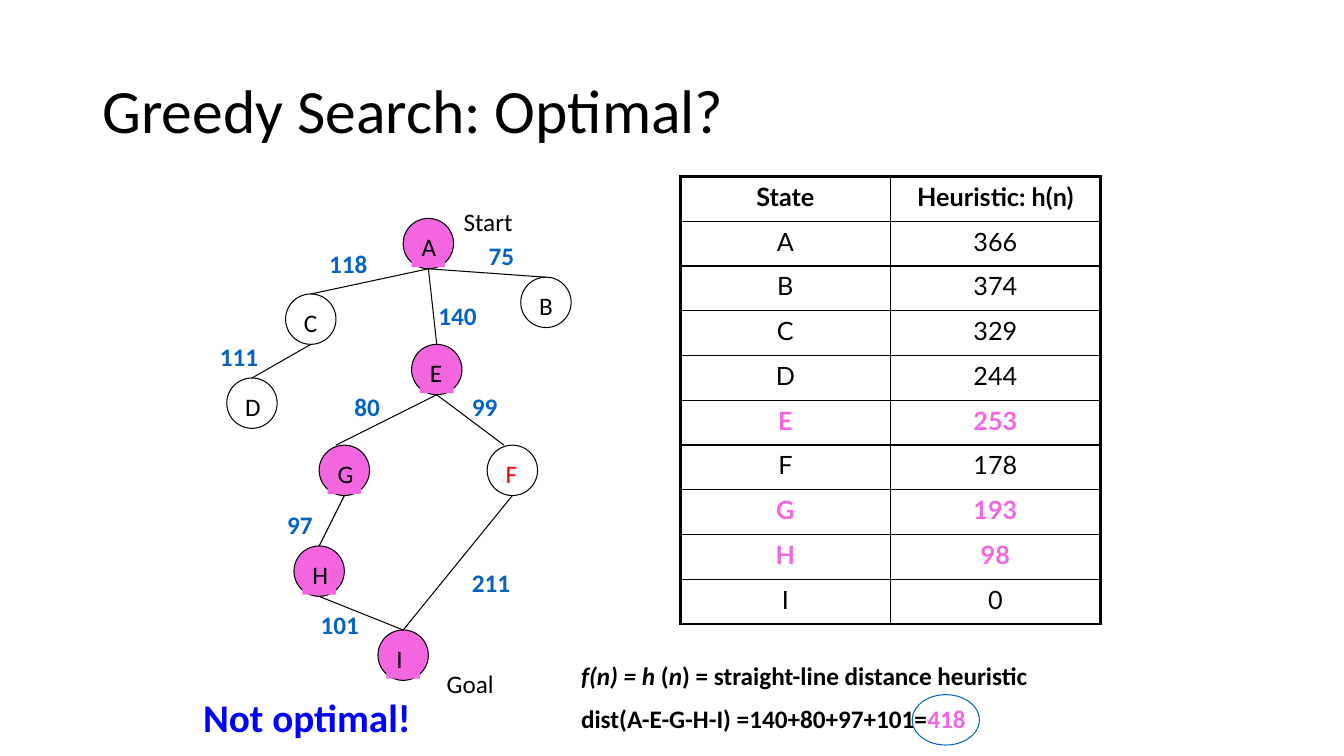
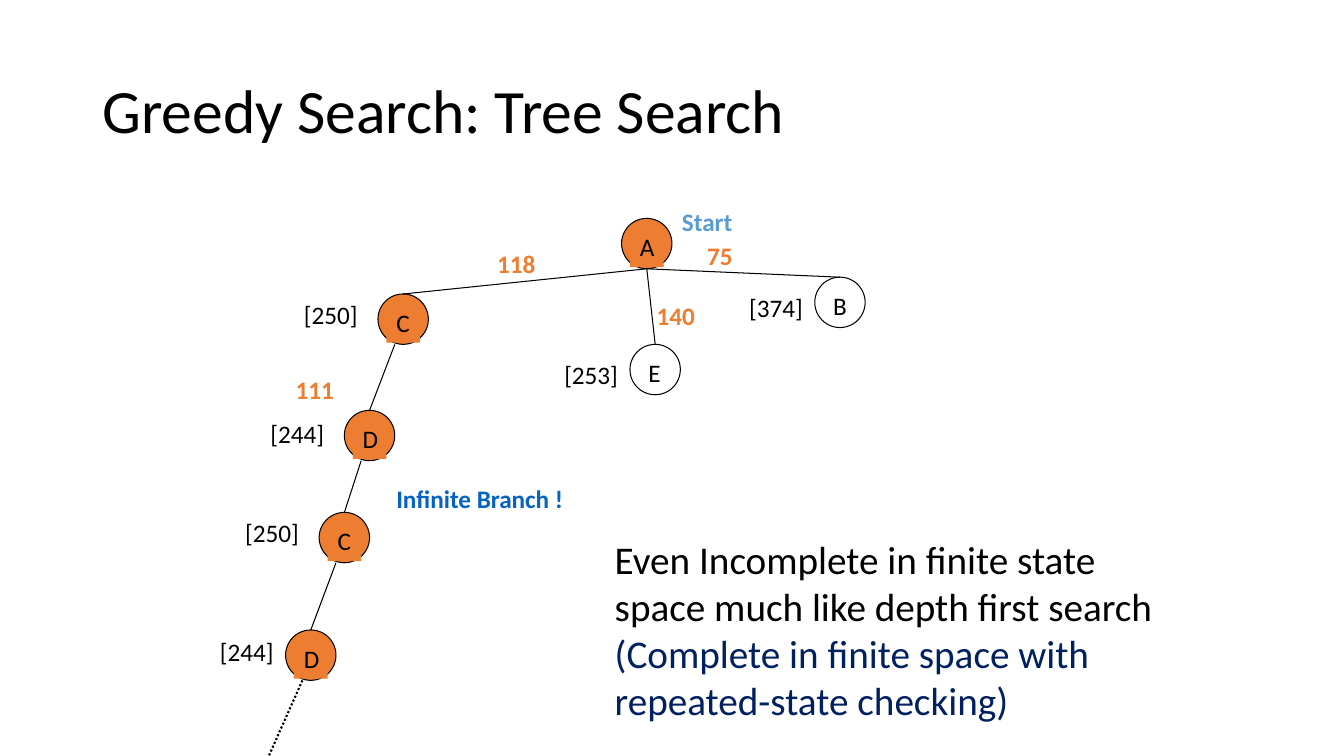
from lxml import etree
from pptx import Presentation
from pptx.dml.color import RGBColor
from pptx.enum.dml import MSO_LINE
from pptx.enum.shapes import MSO_CONNECTOR, MSO_SHAPE
from pptx.enum.text import MSO_ANCHOR, MSO_AUTO_SIZE, PP_ALIGN
from pptx.oxml.ns import qn
from pptx.util import Cm, Pt

STRAIGHT, ELLIPSE, DOTTED = MSO_CONNECTOR.STRAIGHT, MSO_SHAPE.OVAL, MSO_LINE.ROUND_DOT
MIDDLE, LEFT, CENTER = MSO_ANCHOR.MIDDLE, PP_ALIGN.LEFT, PP_ALIGN.CENTER
NO_FIT, GROW = MSO_AUTO_SIZE.NONE, MSO_AUTO_SIZE.SHAPE_TO_FIT_TEXT

BLACK, RED, PINK, ORANGE = "000000", "FF0000", "F466E0", "ED7D31"
BLUE, BRIGHT_BLUE, LIGHT_BLUE, NAVY = "0563C1", "0000FF", "5B9BD5", "002060"
FONT, TABLE_FONT = "Calibri", "Lato"

# Positions below count grid steps, twelve to the inch
STEP = 2.54 / 12
NODE, INSET, LABEL_WIDTH, LINE_HEIGHT = 6, 1, 4, 4.8
THIN, THICK = 1, 2.25

# Nodes: key -> (letter, left, top, fill, letter colour)
OPTIMAL_NODES = {
    "A": ("A", 48, 26, PINK, BLACK),
    "B": ("B", 62, 33, None, BLACK),
    "D": ("D", 27, 45, None, BLACK),
    "C": ("C", 34, 35, None, BLACK),
    "E": ("E", 49, 41, PINK, BLACK),
    "F": ("F", 58, 53, None, RED),
    "I": ("I", 45, 75, PINK, BLACK),
    "G": ("G", 38, 53, PINK, BLACK),
    "H": ("H", 35, 65, PINK, BLACK),
}
# Edges: parent, child, sideways shift at the parent and at the child
OPTIMAL_EDGES = [
    ("E", "F", 0, -1), ("F", "I", 0, 0), ("E", "G", 0, -1), ("G", "H", 0, 0),
    ("H", "I", 0, 0), ("A", "B", 0, 0), ("A", "E", 0, 0), ("A", "C", 0, 0),
    ("C", "D", 0, 0),
]
# Labels: text, left, top, width, colour, bold
OPTIMAL_LABELS = [
    ("99", 55, 46, 8, BLUE, True),
    ("211", 55, 67, 10, BLUE, True),
    ("80", 41, 46, 8, BLUE, True),
    ("Start", 54, 24, 16, BLACK, False),
    ("Goal", 52, 79, 16, BLACK, False),
    ("97", 33, 60, 8, BLUE, True),
    ("101", 37, 72, 11, BLUE, True),
    ("75", 57, 28, 8, BLUE, True),
    ("118", 38, 29, 10, BLUE, True),
    ("111", 25, 40, 10, BLUE, True),
    ("140", 51, 35.2, 10, BLUE, True),
]
HEURISTICS = [
    ("State", "Heuristic: h(n)"), ("A", "366"), ("B", "374"), ("C", "329"),
    ("D", "244"), ("E", "253"), ("F", "178"), ("G", "193"), ("H", "98"), ("I", "0"),
]
EXPANDED = ("E", "G", "H")
# Paragraphs are lists of spans: text, italic, colour
DISTANCE = [
    [("f(n) = h ", True, BLACK), ("(", False, BLACK), ("n", True, BLACK),
     (") = straight-line distance heuristic", False, BLACK)],
    [("dist(A-E-G-H-I) =140+80+97+101=", False, BLACK), ("418", False, PINK)],
]

TREE_NODES = {
    "A": ("A", 74, 26, ORANGE, BLACK),
    "B": ("B", 97, 33, None, BLACK),
    "C": ("C", 45, 35, ORANGE, BLACK),
    "E": ("E", 75, 41, None, BLACK),
    "D": ("D", 41, 48.85, ORANGE, BLACK),
    "C again": ("C", 38, 61, ORANGE, BLACK),
    "D again": ("D", 34, 75, ORANGE, BLACK),
}
TREE_EDGES = [
    ("C", "D", -1, 0), ("A", "B", 0, 0), ("A", "E", 0, 0), ("A", "C", 0, 0),
    ("D", "C again", -1, 0), ("C again", "D again", -1, 0),
]
TREE_LABELS = [
    ("111", 34, 44, 10, ORANGE, True),
    ("Start", 80, 24, 16, LIGHT_BLUE, True),
    ("75", 83, 28, 8, ORANGE, True),
    ("118", 58, 29, 10, ORANGE, True),
    ("140", 77, 35.2, 10, ORANGE, True),
    ("[374]", 88, 34.2, 11, BLACK, False),
    ("[250]", 35, 35, 11, BLACK, False),
    ("[253]", 66, 42.2, 11, BLACK, False),
    ("[244]", 31, 49.2, 11, BLACK, False),
    ("[250]", 28, 61, 11, BLACK, False),
    ("[244]", 25, 75.2, 11, BLACK, False),
    ("Infinite Branch !", 46, 57, 30, BLUE, True),
]
COMPLETENESS = [
    [("Even Incomplete in finite state space much like depth first search", False, BLACK)],
    [("(Complete in finite space with repeated-state checking)", False, NAVY)],
]


def rgb(value):
    return RGBColor.from_string(value)


def grid(*steps):
    return [Cm(step * STEP) for step in steps]


def set_font(font, size, color, bold=False, name=FONT):
    font.name, font.size, font.bold = name, Pt(size), bold
    font.color.rgb = rgb(color)


def add_slide(deck, title):
    page = deck.slides.add_slide(deck.slide_layouts[5])
    box = page.shapes.title
    box.left, box.top, box.width, box.height = grid(11, 4.8, 138, 17.4)
    frame = box.text_frame
    frame.text = title
    frame.vertical_anchor, frame.auto_size = MIDDLE, NO_FIT
    para = frame.paragraphs[0]
    para.alignment, para.line_spacing = LEFT, 0.9
    set_font(para.font, 44, BLACK)
    return page


def add_text(shapes, place, paragraphs, size=18, bold=False, gap=0, wrap=True):
    box = shapes.add_textbox(*grid(*place))
    frame = box.text_frame
    frame.word_wrap, frame.auto_size = wrap, GROW
    for index, spans in enumerate(paragraphs):
        para = frame.add_paragraph() if index else frame.paragraphs[0]
        para.space_before = Pt(gap if index else 0)
        set_font(para.font, size, spans[0][2], bold)
        for text, italic, color in spans:
            span = para.add_run()
            span.text = text
            span.font.italic = italic
            span.font.color.rgb = rgb(color)
    return box


def paint(shape, fill):
    if fill:
        shape.fill.solid()
        shape.fill.fore_color.rgb = rgb(fill)
    else:
        shape.fill.background()


def add_ellipse(shapes, place, fill, line):
    ellipse = shapes.add_shape(ELLIPSE, *grid(*place))
    ellipse.shadow.inherit = False
    paint(ellipse, fill)
    ellipse.line.color.rgb = rgb(line)
    ellipse.line.width = Pt(0.75)


def add_line(page, start, end, width=0.75, dash=None):
    line = page.shapes.add_connector(STRAIGHT, *grid(*start, *end))
    line.line.color.rgb = rgb(BLACK)
    line.line.width = Pt(width)
    if dash:
        line.line.dash_style = dash
    etree.SubElement(line._element.spPr, qn("a:effectLst"))


def foot(node, shift):
    return node[1] + NODE / 2 + shift, node[2] + NODE


def head(node, shift):
    return node[1] + NODE / 2 + shift, node[2]


def add_tree(page, nodes, edges, labels):
    for letter, left, top, fill, color in nodes.values():
        group = page.shapes.add_group_shape().shapes
        add_ellipse(group, (left, top, NODE, NODE), fill, BLACK)
        place = (left + INSET, top + INSET, LABEL_WIDTH, LINE_HEIGHT)
        paint(add_text(group, place, [[(letter, False, color)]]), fill)
    for parent, child, parent_shift, child_shift in edges:
        add_line(page, foot(nodes[parent], parent_shift), head(nodes[child], child_shift))
    for text, left, top, width, color, bold in labels:
        add_text(page.shapes, (left, top, width, LINE_HEIGHT), [[(text, False, color)]], bold=bold)


def set_borders(cell, widths):
    properties = cell._tc.get_or_add_tcPr()
    for index, (side, width) in enumerate(widths.items()):
        border = etree.Element(qn("a:" + side), w=str(Pt(width)))
        fill = etree.SubElement(border, qn("a:solidFill"))
        etree.SubElement(fill, qn("a:srgbClr"), val=BLACK)
        properties.insert(index, border)


def add_heuristics(page):
    last_row, last_column = len(HEURISTICS) - 1, len(HEURISTICS[0]) - 1
    table = page.shapes.add_table(last_row + 1, last_column + 1, *grid(81, 21, 50, 53.3)).table
    table.first_row = table.horz_banding = False
    for row, values in enumerate(HEURISTICS):
        expanded = values[0] in EXPANDED
        for column, value in enumerate(values):
            cell = table.cell(row, column)
            cell.text = value
            cell.fill.background()
            para = cell.text_frame.paragraphs[0]
            para.alignment = CENTER
            set_font(para.font, 18, PINK if expanded else BLACK, expanded or row == 0, TABLE_FONT)
            set_borders(cell, {
                "lnL": THICK if column == 0 else THIN,
                "lnR": THICK if column == last_column else THIN,
                "lnT": THICK if row == 0 else THIN,
                "lnB": THICK if row == last_row else THIN,
            })


def build_optimal(deck):
    page = add_slide(deck, "Greedy Search: Optimal?")
    add_heuristics(page)
    add_tree(page, OPTIMAL_NODES, OPTIMAL_EDGES, OPTIMAL_LABELS)
    add_text(page.shapes, (68, 78, 72, 10.3), DISTANCE, bold=True, gap=9)
    add_ellipse(page.shapes, (108.6, 82.7, 8, 6), None, BLUE)
    add_text(page.shapes, (23, 82, 28.5, 6.8), [[("Not optimal!", False, BRIGHT_BLUE)]],
             size=28, bold=True, wrap=False)


def build_tree_search(deck):
    page = add_slide(deck, "Greedy Search: Tree Search")
    add_tree(page, TREE_NODES, TREE_EDGES, TREE_LABELS)
    # The branch runs on to the slide's lower edge
    add_line(page, foot(TREE_NODES["D again"], -1), (32, 90), 1.5, DOTTED)
    add_text(page.shapes, (72, 63.1, 68, 23.9), COMPLETENESS, size=28)


def main():
    deck = Presentation()
    deck.slide_width, deck.slide_height = grid(160, 90)
    build_optimal(deck)
    build_tree_search(deck)
    deck.save("out.pptx")


if __name__ == "__main__":
    main()
